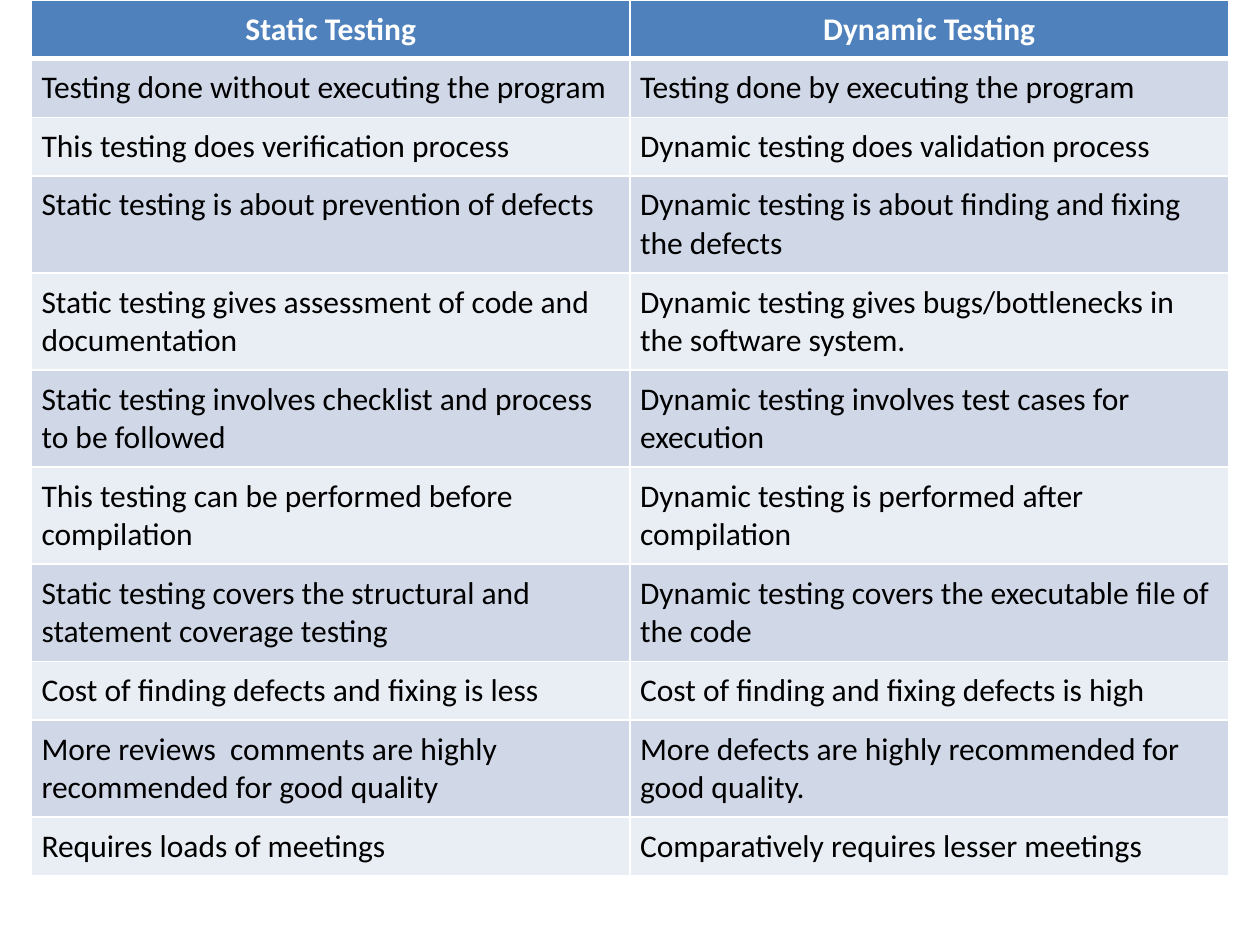
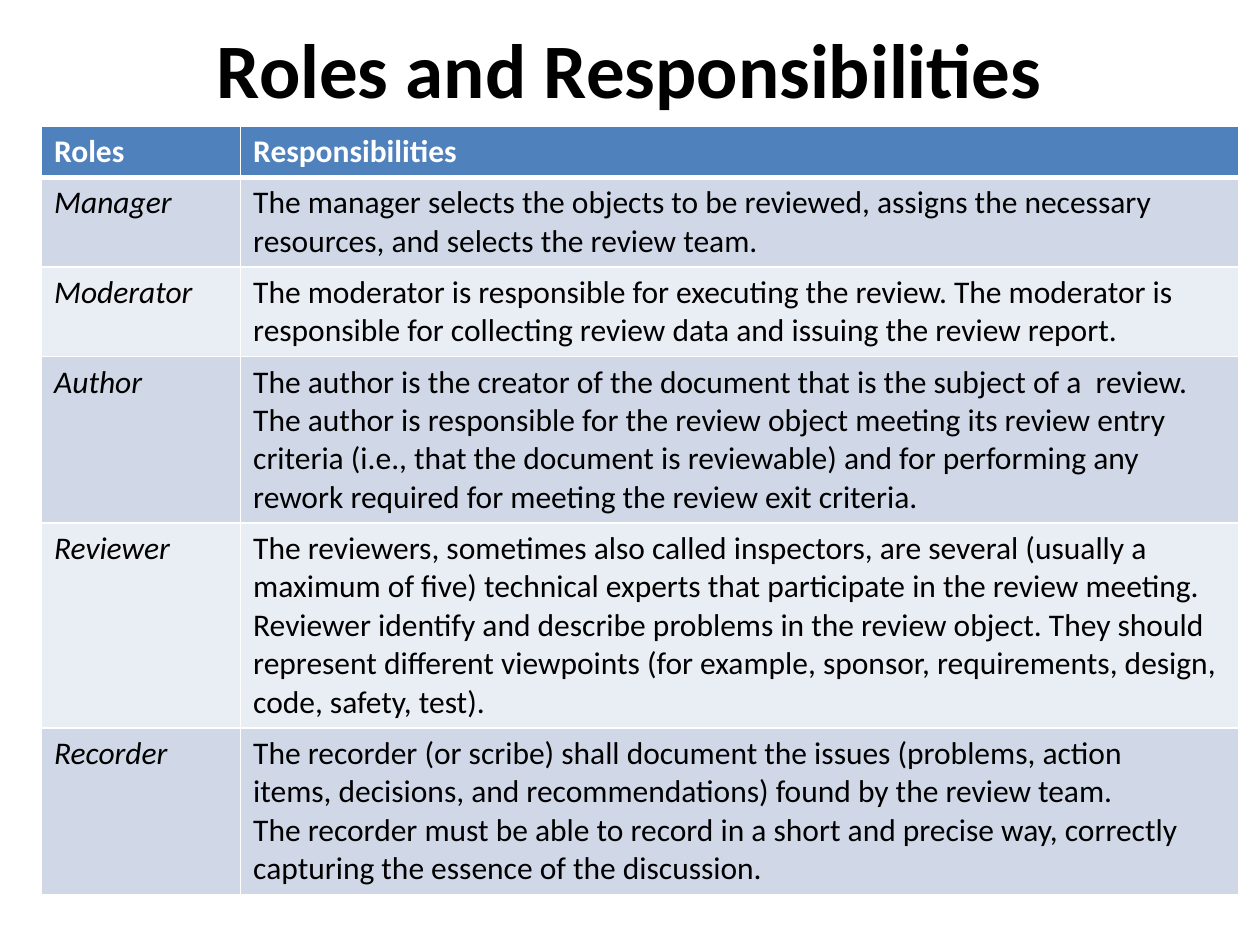
from dataclasses import dataclass

from pptx import Presentation
from pptx.dml.color import RGBColor as RGB
from pptx.enum.text import MSO_ANCHOR as Anchor, PP_ALIGN as Align
from pptx.oxml.ns import qn
from pptx.util import Inches, Pt
from lxml.etree import SubElement


@dataclass(frozen=True)
class Theme:
    font: str = "Calibri"
    title_size: int = 44
    table_size: int = 18
    ink: str = "000000"
    white: str = "FFFFFF"
    header: str = "4F81BD"
    bands: tuple = ("D0D8E8", "E9EDF4")
    rule: int = 1
    header_rule: int = 3


THEME = Theme()
WIDTH, HEIGHT = Inches(10), Inches(7.5)
TITLE_ONLY, BLANK = 5, 6
ROW_HEIGHT = Inches(0.41)

TESTING = [
    ("Static Testing", "Dynamic Testing"),
    ("Testing done without executing the program",
     "Testing done by executing the program"),
    ("This testing does verification process",
     "Dynamic testing does validation process"),
    ("Static testing is about prevention of defects",
     "Dynamic testing is about finding and fixing the defects"),
    ("Static testing gives assessment of code and documentation",
     "Dynamic testing gives bugs/bottlenecks in the software system."),
    ("Static testing involves checklist and process to be followed",
     "Dynamic testing involves test cases for execution"),
    ("This testing can be performed before compilation",
     "Dynamic testing is performed after compilation"),
    ("Static testing covers the structural and statement coverage testing",
     "Dynamic testing covers the executable file of the code"),
    ("Cost of finding defects and fixing is less",
     "Cost of finding and fixing defects is high"),
    ("More reviews  comments are highly recommended for good quality",
     "More defects are highly recommended for good quality."),
    ("Requires loads of meetings", "Comparatively requires lesser meetings"),
]

ROLES = [
    ("Roles", "Responsibilities"),
    ("Manager",
     "The manager selects the objects to be reviewed, assigns the necessary\n"
     "resources, and selects the review team."),
    ("Moderator",
     "The moderator is responsible for executing the review. The moderator is "
     "responsible for collecting review data and issuing the review report."),
    ("Author",
     "The author is the creator of the document that is the subject of a  review. "
     "The author is responsible for the review object meeting its review entry "
     "criteria (i.e., that the document is reviewable) and for performing any "
     "rework required for meeting the review exit criteria."),
    ("Reviewer",
     "The reviewers, sometimes also called inspectors, are several (usually a\n"
     "maximum of five) technical experts that participate in the review meeting. "
     "Reviewer identify and describe problems in the review object. They should "
     "represent different viewpoints (for example, sponsor, requirements, design, "
     "code, safety, test)."),
    ("Recorder",
     "The recorder (or scribe) shall document the issues (problems, action\n"
     "items, decisions, and recommendations) found by the review team.\n"
     "The recorder must be able to record in a short and precise way, correctly "
     "capturing the essence of the discussion."),
]


def write(tf, text, size=THEME.table_size, color=THEME.ink, bold=False,
          italic=False, align=Align.LEFT):
    """Fill a text frame, one paragraph for each line of text."""
    for i, line in enumerate(text.split("\n")):
        p = tf.add_paragraph() if i else tf.paragraphs[0]
        p.alignment = align
        r = p.add_run()
        r.text = line
        r.font.name, r.font.size = THEME.font, Pt(size)
        r.font.bold, r.font.italic = bold, italic
        r.font.color.rgb = RGB.from_string(color)


def set_borders(cell, **widths):
    """Draw white borders; call before filling, as the schema wants lines first."""
    tc_pr = cell._tc.get_or_add_tcPr()
    for side in "LRTB":
        ln = SubElement(tc_pr, qn(f"a:ln{side}"),
                        w=str(Pt(widths.get(side, THEME.rule))))
        fill = SubElement(ln, qn("a:solidFill"))
        SubElement(fill, qn("a:srgbClr"), val=THEME.white)


def add_title(slide, text):
    sp = slide.shapes.title
    sp.left, sp.top = int(WIDTH * 0.05), 0
    sp.width, sp.height = int(WIDTH * 0.9), Inches(1.08)
    sp.text_frame.vertical_anchor = Anchor.MIDDLE
    write(sp.text_frame, text, size=THEME.title_size, bold=True,
          align=Align.CENTER)


def add_banded_table(slide, rows, left, top, height, columns, inset=None,
                     header_align=Align.LEFT, italic_first=False):
    """Place a table; rows start at one line high and grow with their text."""
    frame = slide.shapes.add_table(
        len(rows), len(columns), Inches(left), Inches(top),
        Inches(sum(columns)), Inches(height))
    table = frame.table
    for column, width in zip(table.columns, columns):
        column.width = Inches(width)
    for i, texts in enumerate(rows):
        table.rows[i].height = ROW_HEIGHT
        for j, text in enumerate(texts):
            cell = table.cell(i, j)
            if inset is not None:
                cell.margin_left = cell.margin_right = Inches(inset)
                cell.margin_top = cell.margin_bottom = Inches(inset)
            if i == 0:
                set_borders(cell, B=THEME.header_rule)
                color = THEME.header
                write(cell.text_frame, text, color=THEME.white, bold=True,
                      align=header_align)
            else:
                set_borders(cell, T=THEME.header_rule if i == 1 else THEME.rule)
                color = THEME.bands[(i - 1) % 2]
                write(cell.text_frame, text, italic=italic_first and j == 0)
            cell.fill.solid()
            cell.fill.fore_color.rgb = RGB.from_string(color)
    frame.height = Inches(height)


def main():
    prs = Presentation()
    prs.slide_width, prs.slide_height = WIDTH, HEIGHT

    testing = prs.slides.add_slide(prs.slide_layouts[BLANK])
    add_banded_table(testing, TESTING, left=0.25, top=0, height=6.93,
                     columns=(4.75, 4.75), inset=0.08,
                     header_align=Align.CENTER)

    roles = prs.slides.add_slide(prs.slide_layouts[TITLE_ONLY])
    add_title(roles, "Roles and Responsibilities")
    add_banded_table(roles, ROLES, left=0.33, top=1, height=6.01,
                     columns=(1.58, 7.92), italic_first=True)

    prs.save("out.pptx")


if __name__ == "__main__":
    main()
